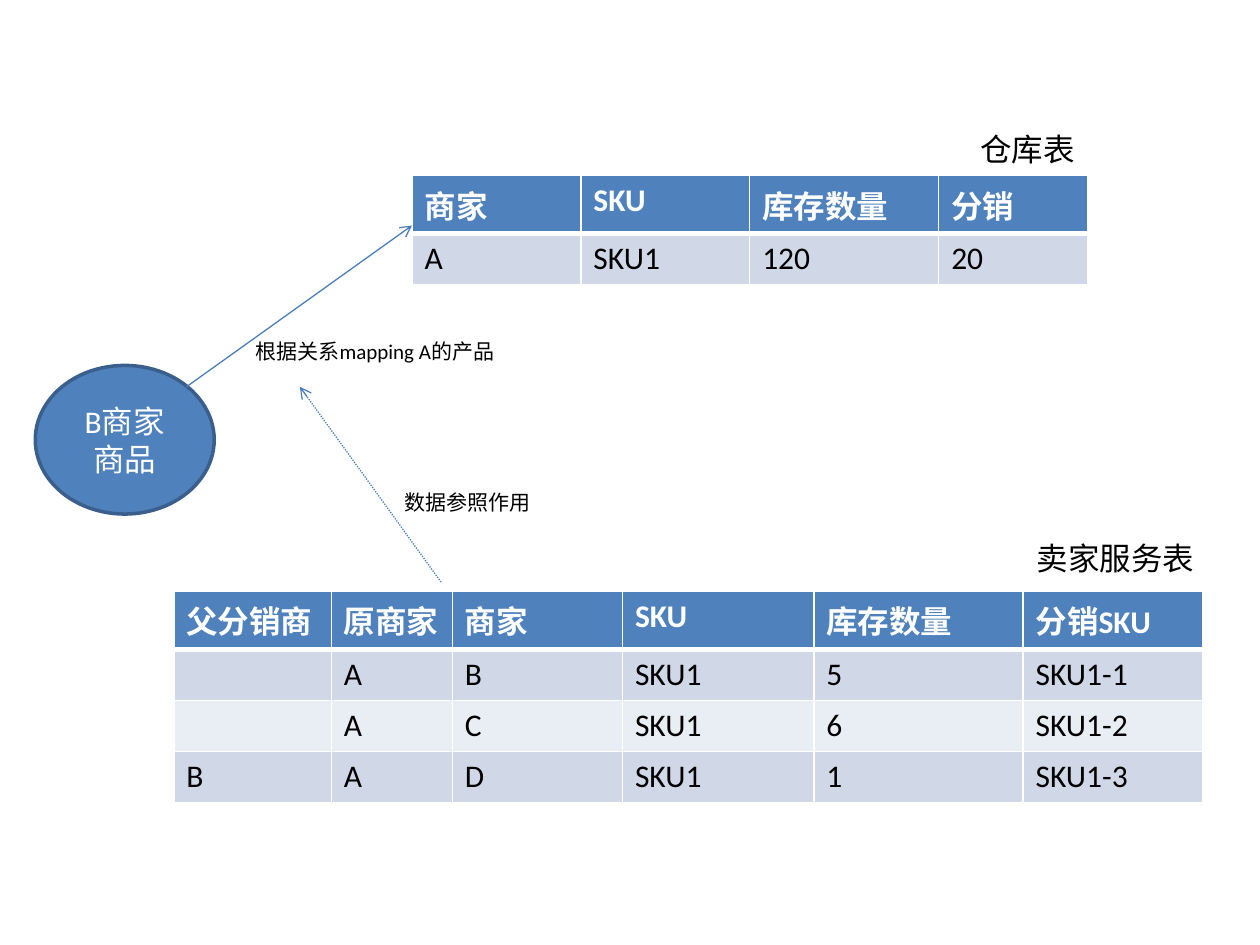
from lxml import etree
from pptx import Presentation
from pptx.dml.color import RGBColor
from pptx.enum.dml import MSO_LINE
from pptx.enum.shapes import MSO_CONNECTOR, MSO_SHAPE
from pptx.enum.text import MSO_ANCHOR, PP_ALIGN
from pptx.oxml.ns import qn
from pptx.util import Inches, Pt

ELLIPSE = MSO_SHAPE.OVAL
STRAIGHT = MSO_CONNECTOR.STRAIGHT
DOTTED = MSO_LINE.ROUND_DOT
MIDDLE = MSO_ANCHOR.MIDDLE
CENTER, LEFT = PP_ALIGN.CENTER, PP_ALIGN.LEFT

FONT = "Calibri"
BLUE, OUTLINE, ARROW = "4F81BD", "3A5F8C", "4B7EBC"
WHITE, BLACK = "FFFFFF", "000000"
BANDS = ("D0D8E8", "E9EDF4")
ROW_HEIGHT = 0.4

TABLES = [
    {
        "at": (3.27, 1.39),
        "columns": (1.34, 1.34, 1.5, 1.18),
        "rows": [
            ("商家", "SKU", "库存数量", "分销"),
            ("A", "SKU1", "120", "20"),
        ],
    },
    {
        "at": (1.38, 4.69),
        "columns": (1.25, 0.96, 1.35, 1.52, 1.66, 1.43),
        "rows": [
            ("父分销商", "原商家", "商家", "SKU", "库存数量", "分销SKU"),
            ("", "A", "B", "SKU1", "5", "SKU1-1"),
            ("", "A", "C", "SKU1", "6", "SKU1-2"),
            ("B", "A", "D", "SKU1", "1", "SKU1-3"),
        ],
    },
]
MERCHANT = ("B商家商品", (0.28, 2.9, 1.42, 1.18))
LABELS = [
    ("根据关系mapping A的产品", (1.93, 2.64, 2.11, 0.3), 12),
    ("数据参照作用", (3.11, 3.84, 1.21, 0.3), 12),
    ("仓库表", (7.68, 0.98, 0.96, 0.4), 18),
    ("卖家服务表", (8.13, 4.23, 1.46, 0.4), 18),
]
ARROWS = [
    ((1.48, 3.07), (3.27, 1.79), None),
    ((3.5, 4.62), (2.38, 3.07), DOTTED),
]


def color(value):
    """Turn a hex string into a colour."""
    return RGBColor.from_string(value)


def inches(values):
    """Turn a sequence of numbers into lengths."""
    return [Inches(value) for value in values]


def write(frame, text, size=18, ink=BLACK, bold=False, align=LEFT):
    """Write one formatted paragraph into a text frame."""
    paragraph = frame.paragraphs[0]
    paragraph.text = text
    paragraph.alignment = align
    formats = {"name": FONT, "size": Pt(size), "bold": bold}
    for font in (paragraph.font, *(run.font for run in paragraph.runs)):
        for name, value in formats.items():
            setattr(font, name, value)
        font.color.rgb = color(ink)


def add_borders(cell, widths):
    """Draw white cell borders; widths maps each edge to points."""
    properties = cell._tc.get_or_add_tcPr()
    for edge, width in widths.items():
        line = etree.SubElement(properties, qn(f"a:ln{edge}"), w=str(Pt(width)))
        fill = etree.SubElement(line, qn("a:solidFill"))
        etree.SubElement(fill, qn("a:srgbClr"), val=WHITE)


def add_grid(slide, at, columns, rows):
    """Add a table with a header row and banded body rows."""
    size = (sum(columns), ROW_HEIGHT * len(rows))
    table = slide.shapes.add_table(
        len(rows), len(columns), *inches(at + size)
    ).table
    for column, width in zip(table.columns, columns):
        column.width = Inches(width)
    for row_index, texts in enumerate(rows):
        header = row_index == 0
        background = BLUE if header else BANDS[(row_index - 1) % len(BANDS)]
        widths = {
            "L": 1,
            "R": 1,
            "T": 3 if row_index == 1 else 1,
            "B": 3 if header else 1,
        }
        for column_index, text in enumerate(texts):
            cell = table.cell(row_index, column_index)
            add_borders(cell, widths)
            cell.fill.solid()
            cell.fill.fore_color.rgb = color(background)
            write(cell.text_frame, text, ink=WHITE if header else BLACK, bold=header)


def add_merchant(slide, text, box):
    """Add the merchant ellipse."""
    shape = slide.shapes.add_shape(ELLIPSE, *inches(box))
    shape.shadow.inherit = False
    shape.fill.solid()
    shape.fill.fore_color.rgb = color(BLUE)
    shape.line.color.rgb = color(OUTLINE)
    shape.line.width = Pt(2)
    shape.text_frame.word_wrap = True
    shape.text_frame.vertical_anchor = MIDDLE
    write(shape.text_frame, text, ink=WHITE, align=CENTER)


def add_label(slide, text, box, size):
    """Add a wrapped text label."""
    frame = slide.shapes.add_textbox(*inches(box)).text_frame
    frame.word_wrap = True
    write(frame, text, size)


def add_arrow(slide, start, end, dash):
    """Add a thin line with an open arrowhead at its end."""
    connector = slide.shapes.add_connector(STRAIGHT, *inches(start + end))
    line = connector.line
    line.color.rgb = color(ARROW)
    line.width = Pt(0.75)
    if dash is not None:
        line.dash_style = dash
    etree.SubElement(line._get_or_add_ln(), qn("a:tailEnd"), type="arrow")
    etree.SubElement(connector._element.spPr, qn("a:effectLst"))


def main():
    """Build and save the slide."""
    presentation = Presentation()
    presentation.slide_width, presentation.slide_height = inches((10, 7.5))
    slide = presentation.slides.add_slide(presentation.slide_layouts[6])
    for table in TABLES:
        add_grid(slide, **table)
    add_merchant(slide, *MERCHANT)
    for arrow in ARROWS:
        add_arrow(slide, *arrow)
    for label in LABELS:
        add_label(slide, *label)
    presentation.save("out.pptx")


main()
